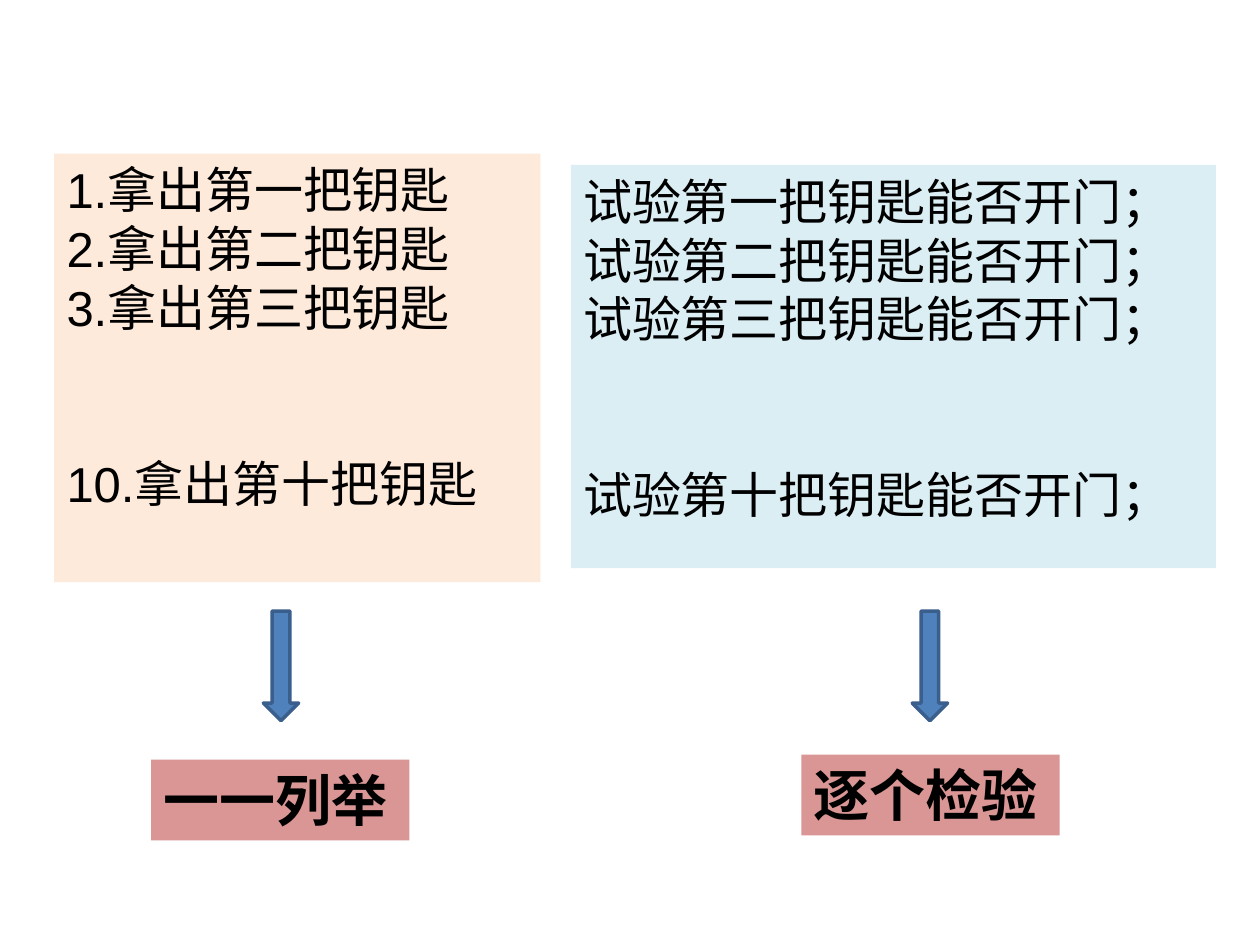
from pptx import Presentation
from pptx.dml.color import RGBColor as RGB
from pptx.enum.shapes import MSO_SHAPE as Kind
from pptx.util import Inches, Pt


def tint(code):
    return RGB.from_string(code)


def add_panel(box, fill, lines, style, gap=0):
    panel = slide.shapes.add_textbox(*map(Inches, box))
    panel.fill.solid()
    panel.fill.fore_color.rgb = tint(fill)
    frame = panel.text_frame
    frame.word_wrap = True
    frame.text = "\n".join(lines)
    for para in frame.paragraphs:
        for key, value in style.items():
            setattr(para.runs[0].font, key, value)
        para.runs[0].font.color.rgb = tint("000000")
    frame.paragraphs[-1].space_before = Pt(gap)


deck = Presentation()
deck.slide_width, deck.slide_height = Inches(10), Inches(7.5)
slide = deck.slides.add_slide(deck.slide_layouts[6])

body = {"name": "Arial", "size": Pt(28)}
label = {"name": "Arial", "size": Pt(32), "bold": True}
keys = {1: "一", 2: "二", 3: "三", 10: "十"}
takes = [f"{num}.拿出第{word}把钥匙" for num, word in keys.items()]
tests = [f"试验第{word}把钥匙能否开门；" for word in keys.values()]

add_panel((0.43, 1.22, 3.86, 3.4), "FDEADA", takes, body, 67)
add_panel((4.53, 1.31, 5.12, 3.2), "DBEEF4", tests, body, 67)

for left in (2.09, 7.24):
    arrow = slide.shapes.add_shape(
        Kind.DOWN_ARROW, Inches(left), Inches(4.85), Inches(0.28), Inches(0.87))
    arrow.shadow.inherit = False
    arrow.fill.solid()
    arrow.fill.fore_color.rgb = tint("4F81BD")
    arrow.line.color.rgb = tint("3A5F8C")
    arrow.line.width = Pt(2)

for left, top, word in ((1.2, 6.03, "一一列举"), (6.36, 5.99, "逐个检验")):
    add_panel((left, top, 2.05, 0.64), "D99694", [word], label)

deck.save("out.pptx")
